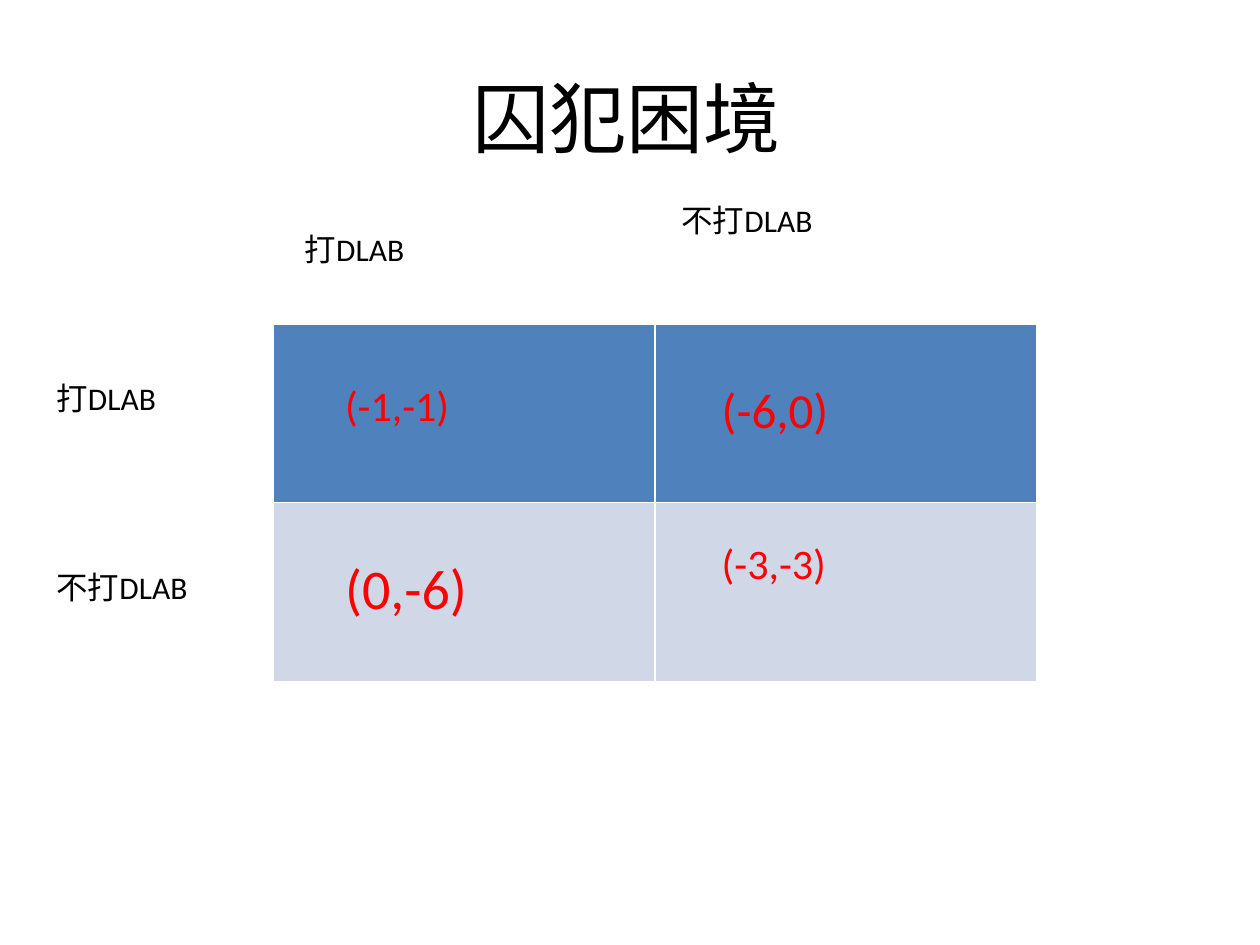
from pptx import Presentation
from pptx.dml.color import RGBColor
from pptx.enum import text as t
from pptx.util import Inches, Pt

BLACK = RGBColor(0x00, 0x00, 0x00)
RED = RGBColor(0xFF, 0x00, 0x00)
BLUE = RGBColor(0x4F, 0x81, 0xBD)
PALE_BLUE = RGBColor(0xD0, 0xD8, 0xE8)

deck = Presentation()
deck.slide_width, deck.slide_height = Inches(10), Inches(7.5)
slide = deck.slides.add_slide(deck.slide_layouts[5])


def write(frame, words, size=18, color=BLACK, align=None):
    frame.word_wrap = True
    paragraph = frame.paragraphs[0]
    paragraph.alignment = align
    run = paragraph.add_run()
    run.text = words
    run.font.name = "Calibri"
    run.font.size = Pt(size)
    run.font.color.rgb = color


def add_label(words, left, top, width, height, **style):
    box = slide.shapes.add_textbox(
        Inches(left), Inches(top), Inches(width), Inches(height))
    write(box.text_frame, words, **style)
    box.text_frame.auto_size = t.MSO_AUTO_SIZE.SHAPE_TO_FIT_TEXT


# Title; the closing tab moves the centred words to the left
title = slide.shapes.title
title.left, title.top = Inches(0.5), Inches(0.3)
title.width, title.height = Inches(9), Inches(1.25)
title.text_frame.vertical_anchor = t.MSO_ANCHOR.MIDDLE
write(title.text_frame, "囚犯困境\t", size=44, align=t.PP_ALIGN.CENTER)

# Payoff grid: the table style draws the white rules
grid = slide.shapes.add_table(
    2, 2, Inches(2.17), Inches(2.57), Inches(6.06), Inches(2.84)).table
for row, fill in zip(grid.rows, (BLUE, PALE_BLUE)):
    for cell in row.cells:
        cell.fill.solid()
        cell.fill.fore_color.rgb = fill

# Choices of the row player
for choice, top in (("打DLAB", 2.96), ("不打DLAB", 4.46)):
    add_label(choice, 0.35, top, 1.5, 0.4)

# Choices of the column player
for choice, left, top in (("打DLAB", 2.32, 1.78), ("不打DLAB", 5.31, 1.55)):
    add_label(choice, left, top, 2.28, 0.4)

# Payoffs, over the cells of the grid
payoffs = [
    ("(-3,-3)", 5.63, 4.22, 1.97, 0.5, 24),
    ("(-1,-1)", 2.64, 2.96, 1.97, 0.5, 24),
    ("(0,-6)", 2.64, 4.34, 1.81, 0.64, 32),
    ("(-6,0)", 5.63, 2.96, 1.57, 0.57, 28),
]
for payoff, left, top, width, height, size in payoffs:
    add_label(payoff, left, top, width, height, size=size, color=RED)

deck.save("out.pptx")
